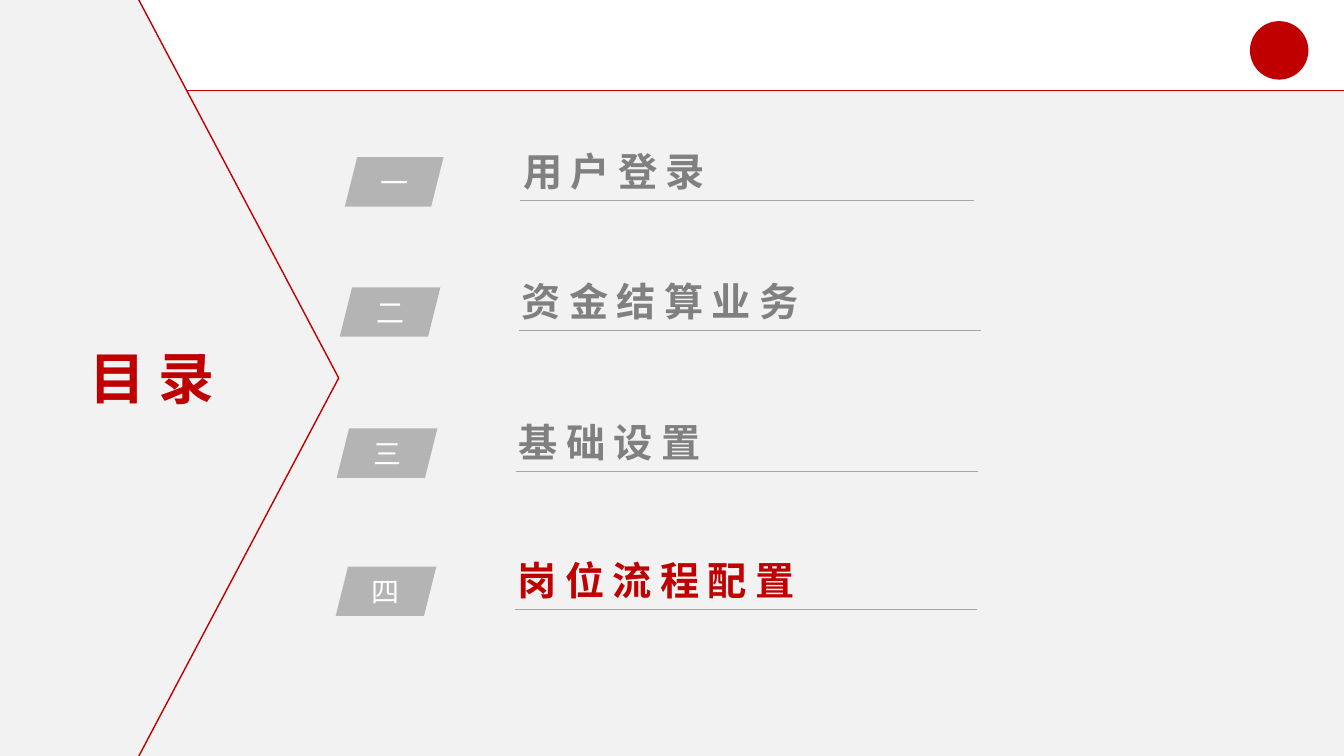
from dataclasses import dataclass

from lxml import etree
from pptx import Presentation
from pptx.dml.color import RGBColor
from pptx.enum.shapes import MSO_CONNECTOR, MSO_SHAPE
from pptx.enum.text import MSO_ANCHOR, MSO_AUTO_SIZE, PP_ALIGN
from pptx.oxml.ns import qn
from pptx.util import Inches, Pt

RECT = MSO_SHAPE.RECTANGLE
PEAK = MSO_SHAPE.ISOSCELES_TRIANGLE
SLANT = MSO_SHAPE.PARALLELOGRAM
OVAL = MSO_SHAPE.OVAL
STRAIGHT = MSO_CONNECTOR.STRAIGHT
CENTER, LEFT = PP_ALIGN.CENTER, PP_ALIGN.LEFT
MIDDLE = MSO_ANCHOR.MIDDLE
GROW = MSO_AUTO_SIZE.SHAPE_TO_FIT_TEXT

WIDE, HIGH = 13.33, 7.5


@dataclass(frozen=True)
class Theme:
    red: str = "C00000"
    pale: str = "F2F2F2"
    tag: str = "B4B4B4"
    text: str = "808080"
    rule: str = "A6A6A6"
    white: str = "FFFFFF"
    font: str = "Arial"
    title: int = 40
    item: int = 28
    mark: int = 20
    gap: int = 6


THEME = Theme()

# label, text, left, top, width, colour
ITEMS = [
    ("一", "用户登录", 3.42, 1.56, 6.24, THEME.text),
    ("二", "资金结算业务", 3.37, 2.85, 6.36, THEME.text),
    ("三", "基础设置", 3.34, 4.25, 6.36, THEME.text),
    ("四", "岗位流程配置", 3.33, 5.62, 6.36, THEME.red),
]


def block(slide, kind, box, color):
    """Add a plain filled shape without outline."""
    shape = slide.shapes.add_shape(kind, *map(Inches, box))
    shape.shadow.inherit = False
    shape.fill.solid()
    shape.fill.fore_color.rgb = RGBColor.from_string(color)
    shape.line.fill.background()
    return shape


def stroke(slide, start, end, color, width):
    line = slide.shapes.add_connector(STRAIGHT, *map(Inches, (*start, *end)))
    line.line.color.rgb = RGBColor.from_string(color)
    line.line.width = Pt(width)
    etree.SubElement(line._element.spPr, qn("a:effectLst"))


def write(shape, text, size, color, bold=False, align=LEFT, gap=0, **frame):
    """Set the text of a shape; frame holds text frame settings."""
    body = shape.text_frame
    for name, value in frame.items():
        setattr(body, name, value)
    para = body.paragraphs[0]
    para.alignment = align
    run = para.add_run()
    run.text = text
    looks = {"name": THEME.font, "size": Pt(size), "bold": bold}
    for name, value in looks.items():
        setattr(run.font, name, value)
    run.font.color.rgb = RGBColor.from_string(color)
    if gap:
        run._r.get_or_add_rPr().set("spc", str(gap * 100))
    return para


def header(slide, box):
    """Tint the area below the header and add its rule and badge."""
    left, top, width, height = box
    base = top + height
    block(slide, RECT, (left, base, width, HIGH - base), THEME.pale)
    stroke(slide, (left, base), (left + width, base), THEME.red, 0.75)
    block(slide, OVAL, (left + 0.93 * width, 0.21, 0.58, 0.58), THEME.red)


def side(slide, box):
    """Build the pointed panel with the slide title."""
    left, top, width, height = box
    neck, tip, mid = left + 0.41 * width, left + width, top + height / 2
    depth = tip - neck
    block(slide, RECT, (left, top, neck - left, height), THEME.pale)
    spot = (neck + depth / 2 - height / 2, mid - depth / 2, height, depth)
    block(slide, PEAK, spot, THEME.pale).rotation = 90
    for edge in (top, top + height):
        stroke(slide, (neck, edge), (tip, mid), THEME.red, 1)
    place = (left + 0.76, mid - 0.39, 1.49, 0.77)
    title = slide.shapes.add_textbox(*map(Inches, place))
    write(title, "目 录", THEME.title, THEME.red, True, CENTER,
          word_wrap=False, auto_size=GROW)


def entry(slide, box, label, text, color):
    """Build one contents row: tag, heading and rule."""
    left, top, width, height = box
    tag = block(slide, SLANT, (left, top, 0.157 * width, height), THEME.tag)
    write(tag, label, THEME.mark, THEME.white, align=CENTER,
          vertical_anchor=MIDDLE, margin_left=0, margin_right=0,
          margin_top=0, margin_bottom=0)
    place = (left + 0.268 * width, top - 0.1, 6.65, 0.52)
    name = slide.shapes.add_textbox(*map(Inches, place))
    para = write(name, text, THEME.item, color, True, gap=THEME.gap,
                 word_wrap=True)
    para.line_spacing = 0.9
    base = top + 0.43
    stroke(slide, (left + 0.279 * width, base), (left + width, base),
           THEME.rule, 0.5)


def main():
    deck = Presentation()
    deck.slide_width, deck.slide_height = Inches(WIDE), Inches(HIGH)
    slide = deck.slides.add_slide(deck.slide_layouts[6])
    header(slide, (0, 0, WIDE, 0.12 * HIGH))
    side(slide, (0, 0, 0.252 * WIDE, HIGH))
    for label, text, left, top, width, color in ITEMS:
        entry(slide, (left, top, width, 0.49), label, text, color)
    deck.save("out.pptx")


if __name__ == "__main__":
    main()
